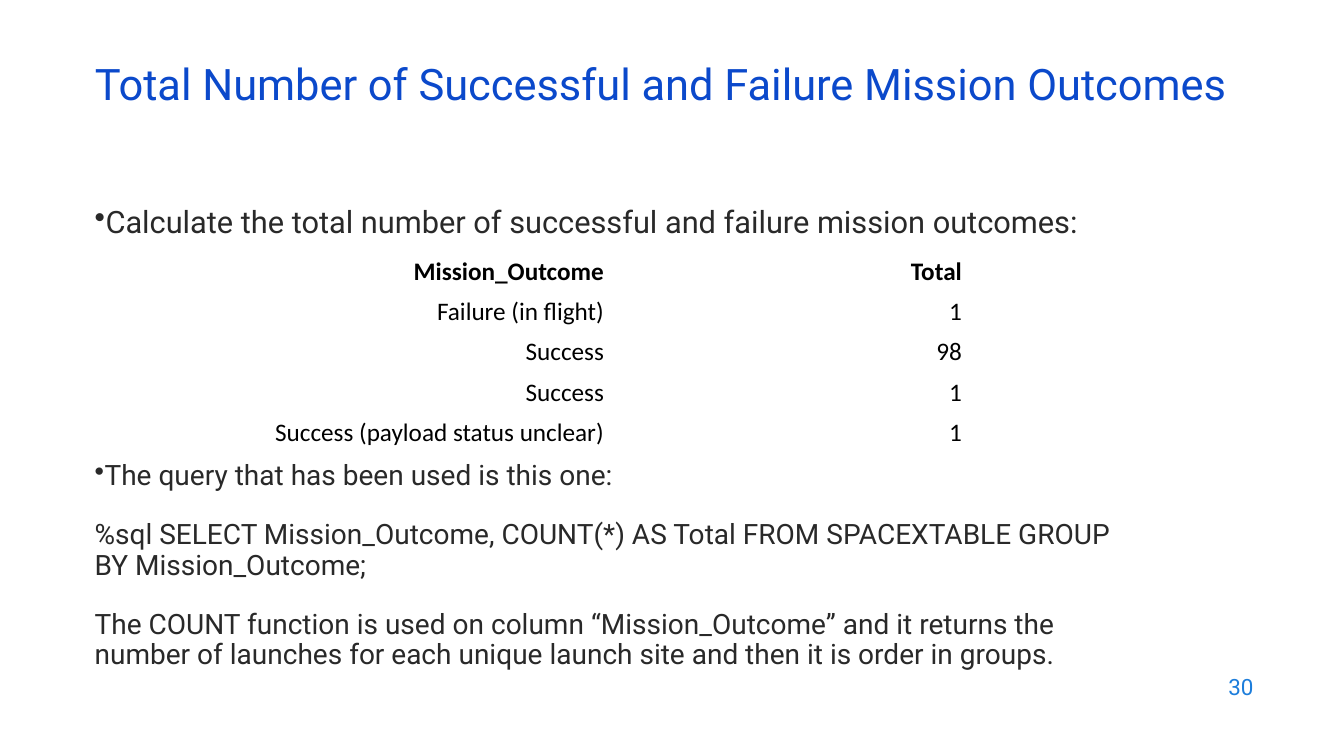
import pptx
import pptx.util
import pptx.dml.color
import pptx.enum.text
import pptx.oxml.ns
import lxml.etree

Inches, Pt = pptx.util.Inches, pptx.util.Pt
ALIGN, ANCHOR = pptx.enum.text.PP_ALIGN, pptx.enum.text.MSO_ANCHOR
COLORS = {"title": "0B49CB", "body": "292929", "number": "1C7DDB",
          "cell": "000000", "fill": "FFFFFF"}


def add_run(p, text, size, color, font="Roboto", bold=False):
    r = p.add_run()
    r.text = text
    r.font.size = Pt(size)
    r.font.name = font
    r.font.bold = bold
    r.font.color.rgb = pptx.dml.color.RGBColor.from_string(COLORS[color])


prs = pptx.Presentation()
prs.slide_width, prs.slide_height = Inches(13.33), Inches(7.5)
s = prs.slides.add_slide(prs.slide_layouts[5])

# Title
title = s.shapes.title
title.left, title.top = Inches(0.84), Inches(0.59)
title.width, title.height = Inches(11.5), Inches(0.6)
tf = title.text_frame
tf.word_wrap = True
tf.auto_size = pptx.enum.text.MSO_AUTO_SIZE.NONE
tf.vertical_anchor = ANCHOR.MIDDLE
p = tf.paragraphs[0]
p.alignment = ALIGN.LEFT
p.line_spacing = 0.7
add_run(p, "Total Number of Successful and Failure\u00a0Mission Outcomes", 31, "title")

# Body: text, size, space before, bulleted; the second gap leaves room for the table
body = [
    ("Calculate the total number of successful and failure mission outcomes:", 22, 0, True),
    ("The query that has been used is this one:", 20, 158, True),
    ("%sql SELECT Mission_Outcome, COUNT(*) AS Total FROM SPACEXTABLE "
     "GROUP BY Mission_Outcome;", 20, 21, False),
    ("The COUNT function is used on column “Mission_Outcome” and it returns the number "
     "of launches for each unique launch site and then it is order in groups.", 20, 21, False),
]
tf = s.shapes.add_textbox(Inches(0.84), Inches(2), Inches(10.66), Inches(4.76)).text_frame
tf.word_wrap = True
for i, (text, size, before, bulleted) in enumerate(body):
    p = tf.paragraphs[0] if i == 0 else tf.add_paragraph()
    if bulleted:
        pPr = p._p.get_or_add_pPr()
        pPr.set("marL", "0")
        pPr.set("indent", "0")
        lxml.etree.SubElement(pPr, pptx.oxml.ns.qn("a:buChar")).set("char", "•")
    p.line_spacing = 0.9
    p.space_before = Pt(before)
    add_run(p, text, size, "body")

# Outcome table
outcomes = [
    ("Mission_Outcome", "Total"),
    ("Failure (in flight)", "1"),
    ("Success", "98"),
    ("Success", "1"),
    ("Success (payload status unclear)", "1"),
]
table = s.shapes.add_table(len(outcomes), 2, Inches(2.54), Inches(2.49),
                           Inches(7.1), Inches(2)).table
table.horz_banding = False
for i, row in enumerate(outcomes):
    for j, text in enumerate(row):
        cell = table.cell(i, j)
        cell.fill.solid()
        cell.fill.fore_color.rgb = pptx.dml.color.RGBColor.from_string(COLORS["fill"])
        cell.vertical_anchor = ANCHOR.MIDDLE
        p = cell.text_frame.paragraphs[0]
        p.alignment = ALIGN.RIGHT
        add_run(p, text, 18, "cell", "Calibri", i == 0)

# Slide number
tf = s.shapes.add_textbox(Inches(9.53), Inches(6.59), Inches(3), Inches(0.44)).text_frame
tf.word_wrap = True
tf.vertical_anchor = ANCHOR.MIDDLE
p = tf.paragraphs[0]
p.alignment = ALIGN.RIGHT
add_run(p, "30", 16, "number")

prs.save("out.pptx")
